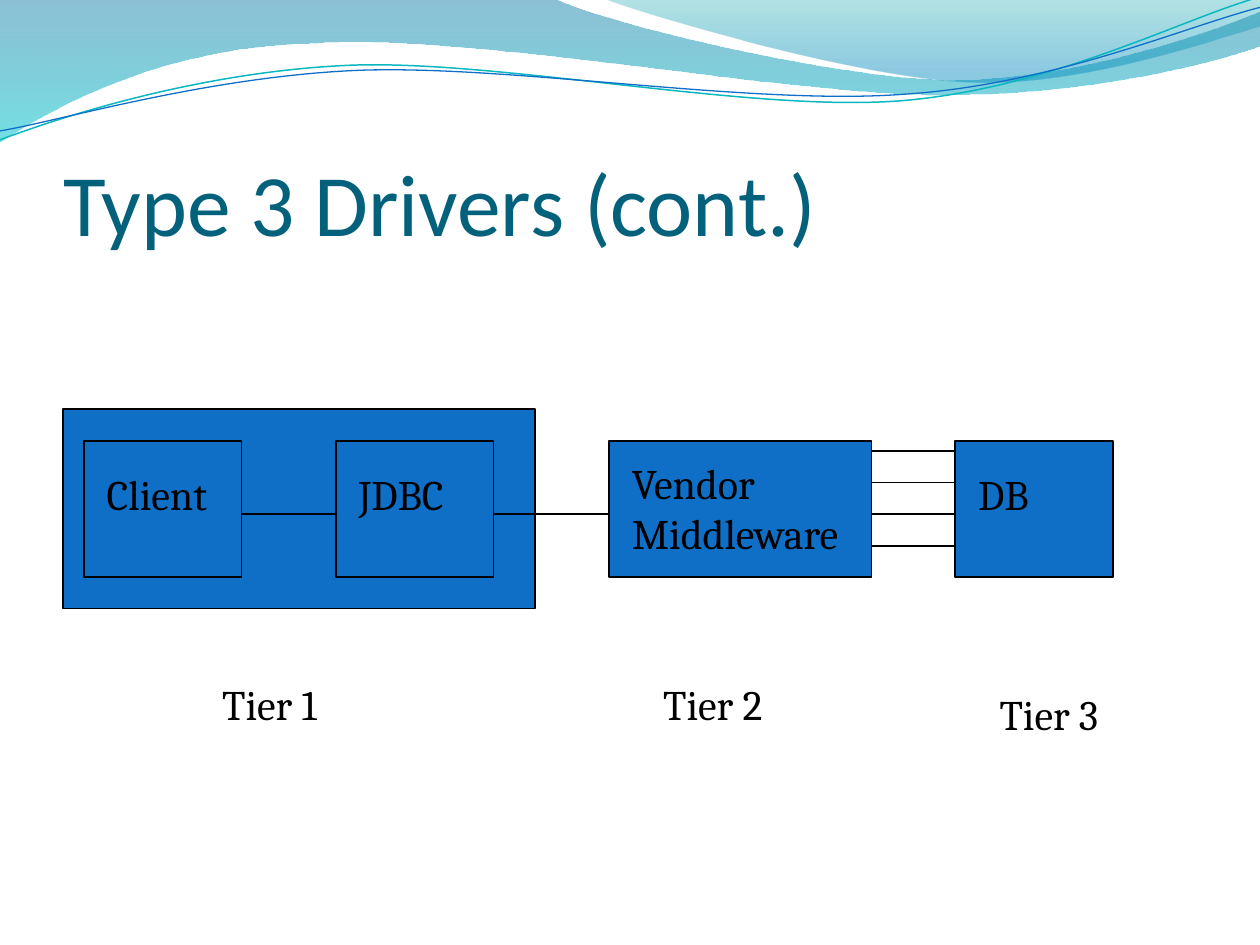
"""Build the "Type 3 Drivers (cont.)" slide: a three-tier JDBC diagram under a wave header."""
from lxml import etree
from pptx import Presentation
from pptx import util as u
from pptx.dml.color import RGBColor
from pptx.enum import shapes, text
from pptx.oxml.ns import qn

COLORS = {"blue": "0F6FC6", "black": "000000", "title": "04617B", "teal": "0AB8BF"}


def add_wave(page, segments, closed):
    """Draw a freeform from line ends (x, y) and cubic curves (x1, y1, x2, y2, x, y) in cm."""
    vertices = [(u.Cm(segment[i]), u.Cm(segment[i + 1]))
                for segment in segments for i in range(0, len(segment), 2)]
    builder = page.shapes.build_freeform(*vertices[0], scale=1.0)
    builder.add_line_segments(vertices[1:], close=closed)
    wave = builder.convert_to_shape()
    wave.shadow.inherit = False
    corners = iter(list(wave.element.iter(qn("a:lnTo"))))
    for segment in segments[1:]:
        nodes = [next(corners) for _ in range(len(segment) // 2)]
        if len(nodes) == 3:
            curve = etree.Element(qn("a:cubicBezTo"))
            nodes[0].addprevious(curve)
            for node in nodes:
                curve.append(node[0])
                node.getparent().remove(node)
    return wave


def add_label(page, words, left, top, width, height):
    """Add a wrapped 24 pt text box, placed in cm."""
    box = page.shapes.add_textbox(u.Cm(left), u.Cm(top), u.Cm(width), u.Cm(height))
    box.text_frame.word_wrap = True
    box.text_frame.auto_size = text.MSO_AUTO_SIZE.SHAPE_TO_FIT_TEXT
    box.text_frame.text = words
    font = box.text_frame.paragraphs[0].runs[0].font
    font.size, font.name = u.Pt(24), "Cambria"
    font.color.rgb = RGBColor.from_string(COLORS["black"])


deck = Presentation()
deck.slide_width, deck.slide_height = u.Cm(25.4), u.Cm(19.05)
page = deck.slides.add_slide(deck.slide_layouts[5])

bands = [
    ([(0, 0), (11.18, -0.03), (12.09, 0.43, 16.87, 1.6, 19.25, 1.6),
      (21.67, 1.6, 24.33, 0.66, 25.4, 0.23), (25.43, 0.91),
      (24.97, 1.12, 22.1, 1.93, 18.95, 1.91), (15.8, 1.91, 9.7, 0.71, 6.53, 0.86),
      (3.28, 0.91, 1.17, 2.11, -0.03, 2.87)],
     [(0, "0074A1", 45), (1, "00C6CF", 55)]),
    ([(12.17, -0.03), (12.93, 0.28, 17.32, 1.57, 19.53, 1.65),
      (21.74, 1.75, 24.41, 0.81, 25.4, 0.53), (25.4, 0)],
     [(0, "00A1A9", 30), (0.8, "008BBF", 45)]),
]
for segments, stops in bands:
    band = add_wave(page, segments, True)
    band.line.fill.background()
    band.fill.gradient()
    band.fill.gradient_angle = 270
    for stop, (position, color, _) in zip(band.fill.gradient_stops, stops):
        stop.position = position
        stop.color.rgb = RGBColor.from_string(color)
    for node, (_, _, opacity) in zip(band.element.spPr.iter(qn("a:srgbClr")), stops):
        etree.SubElement(node, qn("a:alpha"), val=str(opacity * 1000))

strands = [
    ([(-0.05, 2.22), (1.19, 1.82, 4.02, 1.04, 7.05, 1.05), (10.05, 1.07, 15.02, 2.37, 18.08, 2.29),
      (21.13, 2.2, 23.86, 0.91, 25.41, 0.55)], "teal", 0.85),
    ([(-0.04, 2.04), (1.16, 1.9, 4.17, 1.15, 7.2, 1.16), (10.25, 1.18, 15.13, 2.25, 18.19, 2.16),
      (21.22, 2.11, 23.93, 1.06, 25.45, 0.75)], "blue", 0.75),
]
for segments, color, weight in strands:
    strand = add_wave(page, segments, False)
    strand.rotation = 357.3
    strand.fill.background()
    strand.line.color.rgb = RGBColor.from_string(COLORS[color])
    strand.line.width = u.Pt(weight)

title = page.shapes.title
title.left, title.top, title.width, title.height = u.Cm(1.27), u.Cm(1.95), u.Cm(23.06), u.Cm(3.18)
frame = title.text_frame
frame.text = "Type 3 Drivers (cont.)"
frame.vertical_anchor = text.MSO_ANCHOR.BOTTOM
frame.margin_left = frame.margin_right = frame.margin_bottom = 0
frame.margin_top = u.Cm(0.13)
para = frame.paragraphs[0]
para.alignment = text.PP_ALIGN.LEFT
span = para.runs[0]
span.font.size, span.font.name = u.Pt(50), "Calibri"
span.font.color.rgb = RGBColor.from_string(COLORS["title"])

blocks = [(1.27, 8.25, 9.52, 4.02)]
blocks += [(left, 8.89, width, 2.75)
           for left, width in ((1.69, 3.18), (6.77, 3.18), (12.28, 5.29), (19.26, 3.18))]
for block in blocks:
    box = page.shapes.add_shape(shapes.MSO_SHAPE.RECTANGLE, *map(u.Cm, block))
    box.shadow.inherit = False
    box.fill.solid()
    box.fill.fore_color.rgb = RGBColor.from_string(COLORS["blue"])
    box.line.color.rgb = RGBColor.from_string(COLORS["black"])
    box.line.width = u.Pt(1)

middle = 10.37
links = [(4.87, 6.77, middle), (9.95, 12.28, middle)]
links += [(17.57, 19.26, middle + 0.64 * step) for step in (-2, -1, 0, 1)]
for start, end, height in links:
    link = page.shapes.add_connector(shapes.MSO_CONNECTOR.STRAIGHT,
                                     u.Cm(start), u.Cm(height), u.Cm(end), u.Cm(height))
    link.line.color.rgb = RGBColor.from_string(COLORS["black"])
    link.line.width = u.Pt(1)
    etree.SubElement(link.element.spPr, qn("a:effectLst"))

labels = [
    ("Client", 1.9, 9.31, 3.39, 1.27),
    ("JDBC", 6.98, 9.31, 3.39, 1.27),
    ("Vendor Middleware", 12.49, 9.1, 4.87, 2.29),
    ("DB", 19.47, 9.31, 3.39, 1.27),
    ("Tier 1", 4.23, 13.55, 2.96, 1.27),
    ("Tier 2", 13.12, 13.55, 2.75, 1.27),
    ("Tier 3", 19.9, 13.76, 2.96, 1.27),
]
for label in labels:
    add_label(page, *label)

deck.save("out.pptx")
